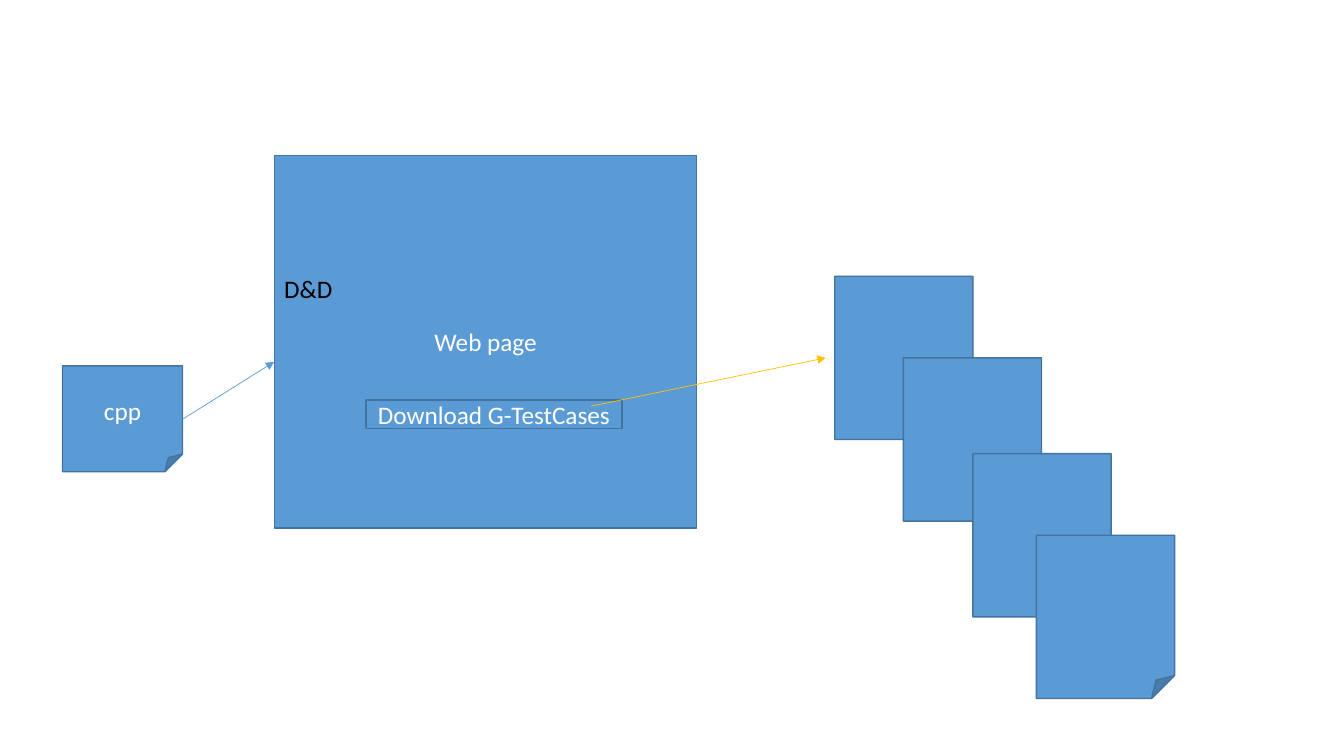
from lxml import etree
from pptx import Presentation
from pptx.dml.color import RGBColor
from pptx.enum.shapes import MSO_CONNECTOR, MSO_SHAPE
from pptx.enum.text import MSO_ANCHOR, MSO_AUTO_SIZE, PP_ALIGN
from pptx.oxml.ns import qn
from pptx.util import Inches, Pt

COLORS = {
    "blue": "5B9BD5",
    "outline": "43739E",
    "gold": "FFC000",
    "white": "FFFFFF",
    "black": "000000",
}
TEST_FILE_POSITIONS = [(8.28, 2.74), (8.96, 3.55), (9.65, 4.5), (10.28, 5.31)]


def color(name):
    return RGBColor.from_string(COLORS[name])


def write_text(shape, text, font_color="white", align=PP_ALIGN.CENTER,
               anchor=MSO_ANCHOR.MIDDLE, size=18):
    frame = shape.text_frame
    frame.word_wrap = True
    frame.vertical_anchor = anchor
    paragraph = frame.paragraphs[0]
    paragraph.alignment = align
    run = paragraph.add_run()
    run.text = text
    run.font.name = "Calibri"
    run.font.size = Pt(size)
    run.font.color.rgb = color(font_color)


def add_box(slide, kind, left, top, width, height, text=None):
    shape = slide.shapes.add_shape(
        kind, Inches(left), Inches(top), Inches(width), Inches(height))
    shape.shadow.inherit = False
    shape.fill.solid()
    shape.fill.fore_color.rgb = color("blue")
    shape.line.color.rgb = color("outline")
    shape.line.width = Pt(1)
    if text:
        write_text(shape, text)


def add_arrow(slide, start, end, line_color):
    points = [Inches(value) for value in (*start, *end)]
    connector = slide.shapes.add_connector(MSO_CONNECTOR.STRAIGHT, *points)
    connector.line.color.rgb = color(line_color)
    connector.line.width = Pt(0.5)
    line = connector.line._get_or_add_ln()
    etree.SubElement(line, qn("a:tailEnd"), type="triangle")
    etree.SubElement(connector._element.spPr, qn("a:effectLst"))


def add_label(slide, text, left, top, width, height):
    label = slide.shapes.add_textbox(
        Inches(left), Inches(top), Inches(width), Inches(height))
    write_text(label, text, font_color="black", align=PP_ALIGN.LEFT,
               anchor=MSO_ANCHOR.TOP)
    label.text_frame.auto_size = MSO_AUTO_SIZE.SHAPE_TO_FIT_TEXT


def main():
    presentation = Presentation()
    presentation.slide_width = Inches(13.33)
    presentation.slide_height = Inches(7.5)
    slide = presentation.slides.add_slide(presentation.slide_layouts[6])

    add_box(slide, MSO_SHAPE.RECTANGLE, 2.72, 1.54, 4.19, 3.7, "Web page")
    add_box(slide, MSO_SHAPE.FOLDED_CORNER, 0.62, 3.63, 1.19, 1.05, "cpp")
    add_arrow(slide, (1.81, 4.16), (2.72, 3.59), "blue")
    for left, top in TEST_FILE_POSITIONS:
        add_box(slide, MSO_SHAPE.FOLDED_CORNER, left, top, 1.37, 1.62)
    add_box(slide, MSO_SHAPE.RECTANGLE, 3.63, 3.97, 2.54, 0.28,
            "Download G-TestCases")
    add_arrow(slide, (5.86, 4.03), (8.19, 3.55), "gold")
    add_label(slide, "D&D", 2.72, 2.66, 1.99, 0.4)

    presentation.save("out.pptx")


main()
